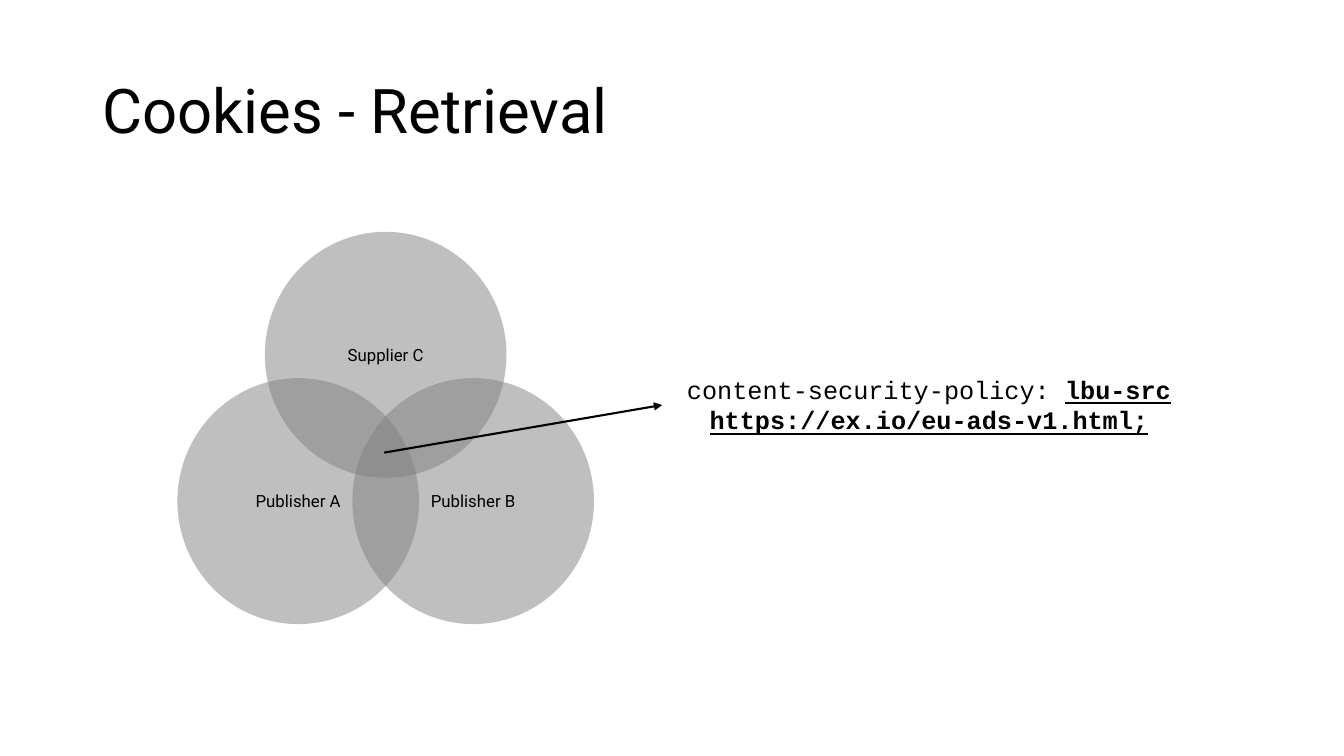
from lxml import etree
from pptx import Presentation
from pptx.dml.color import RGBColor
from pptx.enum import shapes, text
from pptx.oxml.ns import qn
from pptx.util import Pt

INK = "000000"
GREY = "808080"


def color(fmt, code):
    fmt.rgb = RGBColor.from_string(code)


def style(par, size, face):
    par.font.size = Pt(size)
    par.font.name = face
    color(par.font.color, INK)


def add_title(slide, words, x, y, w, h):
    title = slide.shapes.title
    title.left, title.top, title.width, title.height = map(Pt, (x, y, w, h))
    frame = title.text_frame
    frame.text = words
    frame.vertical_anchor = text.MSO_ANCHOR.MIDDLE
    par = frame.paragraphs[0]
    par.alignment = text.PP_ALIGN.LEFT
    par.line_spacing = 0.9
    style(par, 44, "Roboto")


def add_venn(slide, x, y, w, h):
    """Two circles below, one centred above them."""
    group = slide.shapes.add_group_shape()
    wide, high = 0.58 * w, 0.627 * h
    right, low = w - wide, h - high
    spots = [("Publisher A", 0, low),
             ("Publisher B", right, low),
             ("Supplier C", right / 2, 0)]
    for name, dx, dy in spots:
        disc = group.shapes.add_shape(
            shapes.MSO_SHAPE.OVAL, Pt(x + dx), Pt(y + dy), Pt(wide), Pt(high))
        disc.shadow.inherit = False
        disc.line.fill.background()
        disc.fill.solid()
        color(disc.fill.fore_color, GREY)
        # Half transparent fill
        tint = disc.fill._xPr.find(".//" + qn("a:srgbClr"))
        etree.SubElement(tint, qn("a:alpha")).set("val", "50000")
        # Label
        frame = disc.text_frame
        frame.text = name
        frame.word_wrap = False
        frame.vertical_anchor = text.MSO_ANCHOR.MIDDLE
        par = frame.paragraphs[0]
        par.alignment = text.PP_ALIGN.CENTER
        style(par, 12, "Roboto")


def add_callout(slide, x, y, w, h, start):
    """Policy text, with an arrow from start to its left edge."""
    group = slide.shapes.add_group_shape()
    box = group.shapes.add_textbox(Pt(x), Pt(y), Pt(w), Pt(h))
    frame = box.text_frame
    frame.word_wrap = True
    frame.auto_size = text.MSO_AUTO_SIZE.SHAPE_TO_FIT_TEXT
    par = frame.paragraphs[0]
    par.alignment = text.PP_ALIGN.CENTER
    style(par, 18, "Courier New")
    par.add_run().text = "content-security-policy: "
    rule = par.add_run()
    rule.text = "lbu-src https://ex.io/eu-ads-v1.html;"
    rule.font.bold = rule.font.underline = True
    # Arrow
    arrow = group.shapes.add_connector(
        shapes.MSO_CONNECTOR.STRAIGHT,
        Pt(start[0]), Pt(start[1]), Pt(x), Pt(y + h / 2))
    arrow.line.width = Pt(1.5)
    color(arrow.line.color, INK)
    line = arrow.line._get_or_add_ln()
    etree.SubElement(line, qn("a:tailEnd")).set("type", "triangle")
    etree.SubElement(arrow._element.spPr, qn("a:effectLst"))


def main():
    deck = Presentation()
    deck.slide_width, deck.slide_height = Pt(960), Pt(540)
    slide = deck.slides.add_slide(deck.slide_layouts[5])
    add_title(slide, "Cookies - Retrieval", 66, 28.75, 828, 104.4)
    add_venn(slide, 126.7, 165.6, 297.6, 280.2)
    add_callout(slide, 473, 263.8, 381, 51, (274.5, 323.3))
    deck.save("out.pptx")


if __name__ == "__main__":
    main()
